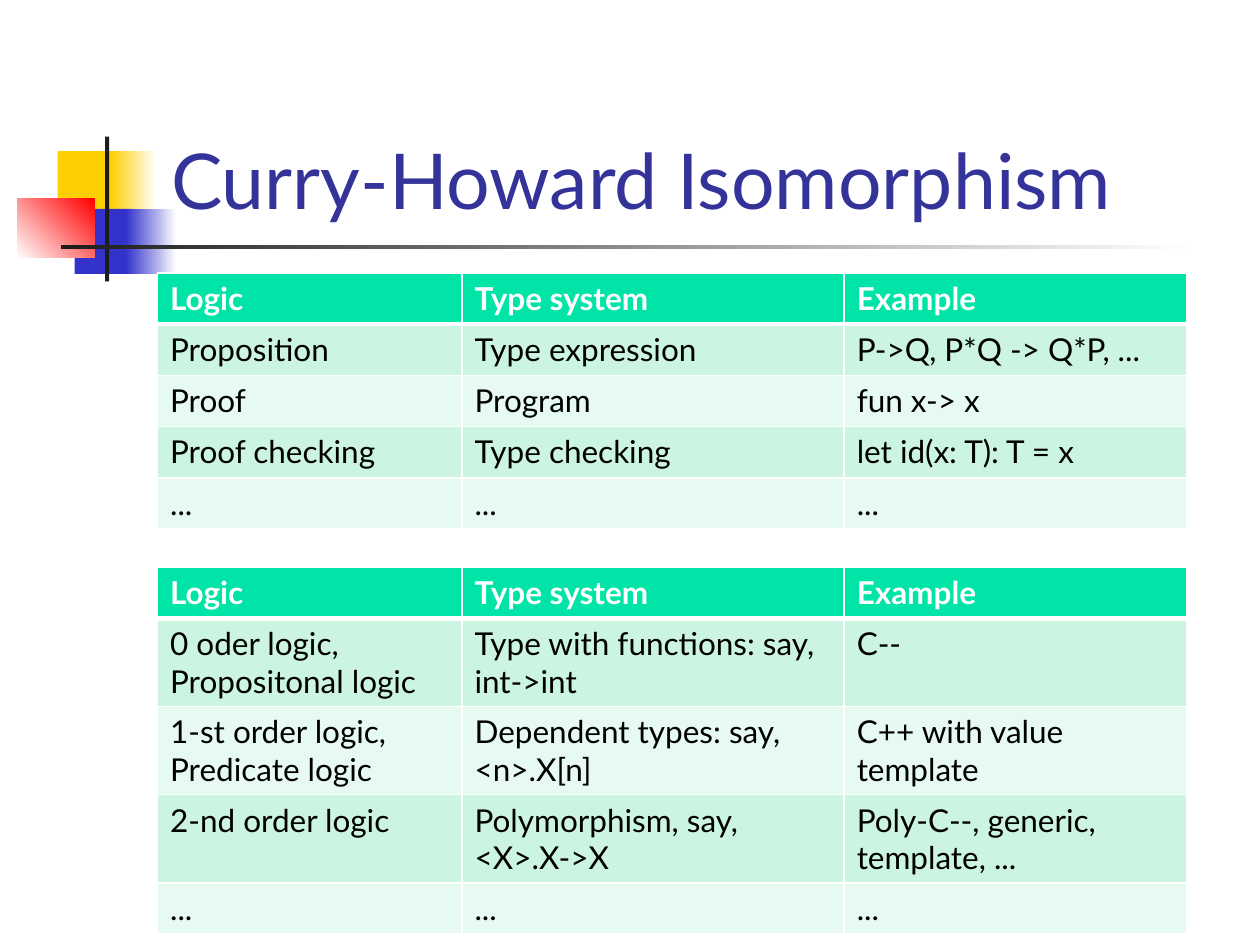
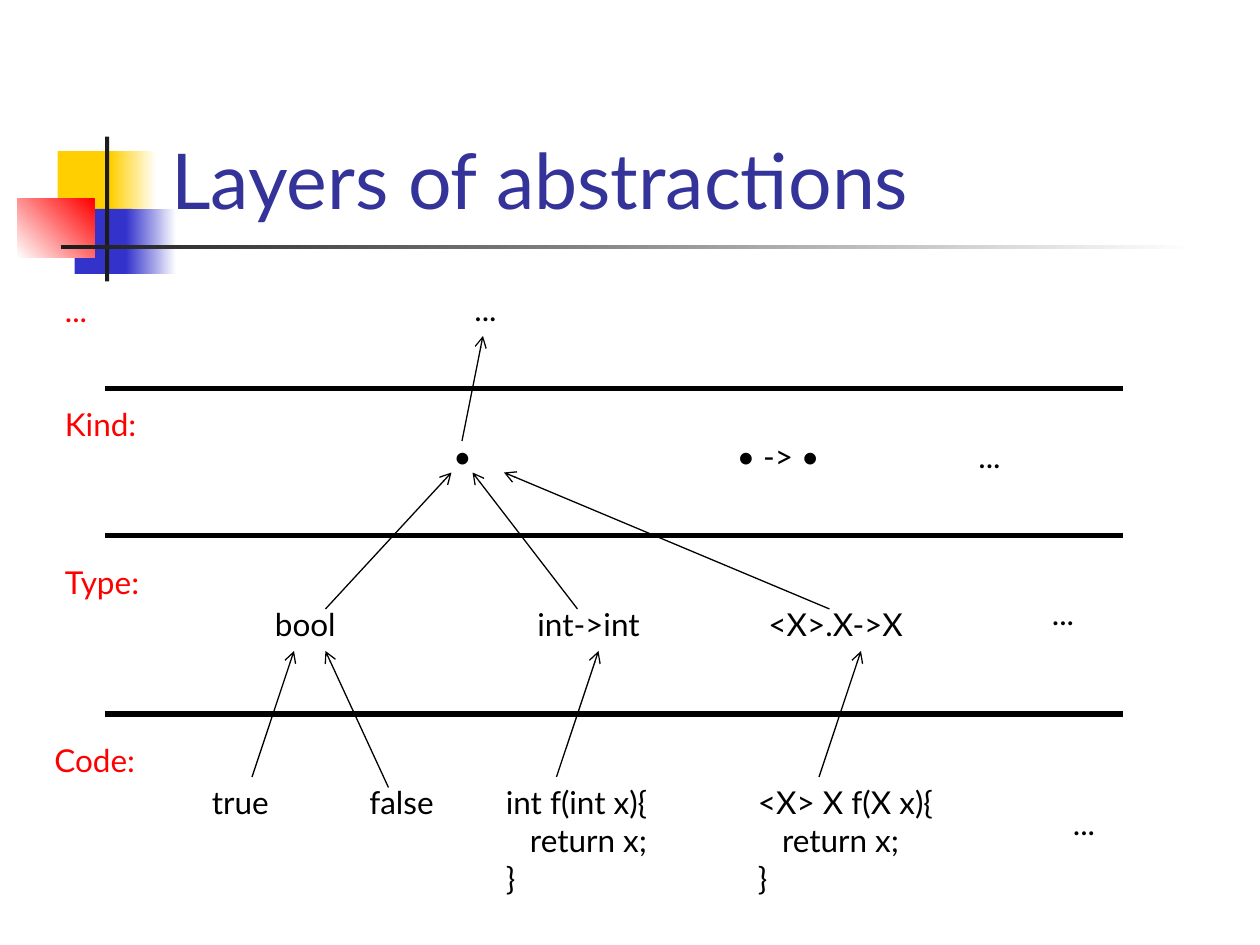
import pptx
import pptx.util
import pptx.dml.color
import pptx.enum.shapes
import pptx.enum.text
import pptx.oxml
import pptx.oxml.ns

FONT = "Lato"
COLS, ROWS = 120, 90
WIDE, HIGH = pptx.util.Inches(10), pptx.util.Inches(7.5)
HUES = {
    "title": "333399", "gold": "FFCF01", "blue": "3333CC", "red": "FF0000",
    "dark": "1C1C1C", "white": "FFFFFF", "black": "000000",
    "head": "00E4A8", "odd": "CCF5E1", "even": "E7FAF1",
}
BLOCKS = [
    (5.5, 14.4, 5.8, 6.2, ["gold"], 0),
    (10.5, 14.4, 4.4, 6.2, ["gold", "white"], 0),
    (7.1, 19.9, 5.5, 6.2, ["blue"], 0),
    (12, 19.9, 4.8, 6.2, ["blue", "white"], 0),
    (1.65, 18.95, 7.35, 5.6, ["white", "red"], 45),
    (10, 13, 0.4, 13.8, ["dark"], 0),
    (5.8, 23.35, 108, 0.4, ["dark", "white"], 0),
]
HEADS = ["Logic", "Type system", "Example"]
DOTS = ["..."] * 3
TERMS = [
    HEADS,
    ["Proposition", "Type expression", "P->Q, P*Q -> Q*P, ..."],
    ["Proof", "Program", "fun x-> x"],
    ["Proof checking", "Type checking", "let id(x: T): T = x"],
    DOTS,
]
ORDERS = [
    HEADS,
    ["0 oder logic,\nPropositonal logic", "Type with functions: say,\nint->int", "C--"],
    ["1-st order logic,\nPredicate logic", "Dependent types: say, <n>.X[n]",
     "C++ with value template"],
    ["2-nd order logic", "Polymorphism, say,\n<X>.X->X",
     "Poly-C--, generic, template, ..."],
    DOTS,
]
WIDTHS = [29, 36.4, 32.6]
LINE, PAIR = 4.88, 8.4
LAYERS = [("...", 5, 27.1), ("Kind:", 5, 38), ("Type:", 5, 53), ("Code:", 4, 70)]
RULES = [37, 51, 68]
NODES = [
    ("...", 44, 27, 10),
    ("•", 42, 41, 10), ("• -> •", 69, 41, 12), ("...", 92, 41, 10),
    ("bool", 25, 57, 10), ("int->int", 50, 57, 14),
    ("<X>.X->X", 72, 57, 20), ("...", 99, 56, 10),
    ("true", 19, 74, 10), ("false", 34, 74, 10),
    ("int f(int x){\n   return x;\n}", 47, 74, 19),
    ("<X> X f(X x){\n   return x;\n}", 71, 74, 27),
    ("...", 101, 76, 10),
]
ARROWS = [
    (24, 74, 28, 62), (37, 75, 31, 62), (53, 74, 57, 62), (78, 74, 82, 62),
    (31, 58, 43, 45), (55, 58, 45, 45), (79, 58, 48, 45), (44, 42, 46, 32),
]


def across(cols):
    return round(WIDE * cols / COLS)


def down(rows):
    return round(HIGH * rows / ROWS)


def place(x, y, w, h):
    return across(x), down(y), across(w), down(h)


def tint(name):
    return pptx.dml.color.RGBColor.from_string(HUES[name])


def write(frame, text, hue="black", size=18, bold=False):
    for num, line in enumerate(text.split("\n")):
        para = frame.add_paragraph() if num else frame.paragraphs[0]
        para.alignment = pptx.enum.text.PP_ALIGN.LEFT
        run = para.add_run()
        run.text = line
        run.font.name = FONT
        run.font.size = pptx.util.Pt(size)
        run.font.bold = bold
        run.font.color.rgb = tint(hue)


def add_block(slide, x, y, w, h, hues, angle):
    kind = pptx.enum.shapes.MSO_SHAPE.RECTANGLE
    block = slide.shapes.add_shape(kind, *place(x, y, w, h))
    block.shadow.inherit = False
    block.line.fill.background()
    if len(hues) == 1:
        block.fill.solid()
        block.fill.fore_color.rgb = tint(hues[0])
        return
    block.fill.gradient()
    block.fill.gradient_angle = angle
    for spot, (stop, hue) in enumerate(zip(block.fill.gradient_stops, hues)):
        stop.position = spot
        stop.color.rgb = tint(hue)


def add_page(deck, text):
    slide = deck.slides.add_slide(deck.slide_layouts[5])
    for block in BLOCKS:
        add_block(slide, *block)
    title = slide.shapes.title
    title.element.getparent().append(title.element)
    title.left, title.top, title.width, title.height = place(15.1, 2.8, 102.2, 19.2)
    frame = title.text_frame
    frame.word_wrap = True
    frame.auto_size = pptx.enum.text.MSO_AUTO_SIZE.NONE
    frame.vertical_anchor = pptx.enum.text.MSO_ANCHOR.BOTTOM
    write(frame, text, "title", 44)
    return slide


def add_edges(cell, top, base):
    props = cell._tc.get_or_add_tcPr()
    sides = [("L", 1), ("R", 1), ("T", top), ("B", base)]
    for spot, (side, size) in enumerate(sides):
        edge = pptx.oxml.parse_xml(
            f'<a:ln{side} {pptx.oxml.ns.nsdecls("a")} w="{pptx.util.Pt(size)}">'
            f'<a:solidFill><a:srgbClr val="{HUES["white"]}"/></a:solidFill></a:ln{side}>')
        props.insert(spot, edge)


def add_grid(slide, y, cells, heights):
    area = place(15, y, sum(WIDTHS), sum(heights))
    grid = slide.shapes.add_table(len(cells), len(WIDTHS), *area).table
    for col, width in zip(grid.columns, WIDTHS):
        col.width = across(width)
    for num, (row, height) in enumerate(zip(grid.rows, heights)):
        row.height = down(height)
        head = num == 0
        for cell, text in zip(row.cells, cells[num]):
            cell.fill.solid()
            cell.fill.fore_color.rgb = tint("head" if head else "odd" if num % 2 else "even")
            add_edges(cell, 3 if num == 1 else 1, 3 if head else 1)
            write(cell.text_frame, text, "white" if head else "black", bold=head)


def add_label(slide, text, x, y, width, hue="black"):
    height = 1.2 + 3.6 * len(text.split("\n"))
    frame = slide.shapes.add_textbox(*place(x, y, width, height)).text_frame
    frame.word_wrap = True
    frame.auto_size = pptx.enum.text.MSO_AUTO_SIZE.SHAPE_TO_FIT_TEXT
    write(frame, text, hue)


def add_line(slide, x1, y1, x2, y2, size, arrow=False):
    kind = pptx.enum.shapes.MSO_CONNECTOR.STRAIGHT
    line = slide.shapes.add_connector(kind, across(x1), down(y1), across(x2), down(y2))
    line.line.color.rgb = tint("black")
    line.line.width = pptx.util.Pt(size)
    props = line.element.spPr
    if arrow:
        tip = pptx.oxml.parse_xml(f'<a:tailEnd {pptx.oxml.ns.nsdecls("a")} type="arrow"/>')
        props.find(pptx.oxml.ns.qn("a:ln")).append(tip)
    props.append(pptx.oxml.parse_xml(f'<a:effectLst {pptx.oxml.ns.nsdecls("a")}/>'))


def main():
    deck = pptx.Presentation()
    deck.slide_width, deck.slide_height = WIDE, HIGH

    slide = add_page(deck, "Curry-Howard Isomorphism")
    add_grid(slide, 26, TERMS, [LINE] * 5)
    add_grid(slide, 54, ORDERS, [LINE, PAIR, PAIR, PAIR, LINE])

    slide = add_page(deck, "Layers of abstractions")
    for y in RULES:
        add_line(slide, 10, y, 107, y, 3)
    for text, x, y in LAYERS:
        add_label(slide, text, x, y, 14, "red")
    for node in NODES:
        add_label(slide, *node)
    for ends in ARROWS:
        add_line(slide, *ends, 0.75, arrow=True)

    deck.save("out.pptx")


if __name__ == "__main__":
    main()
